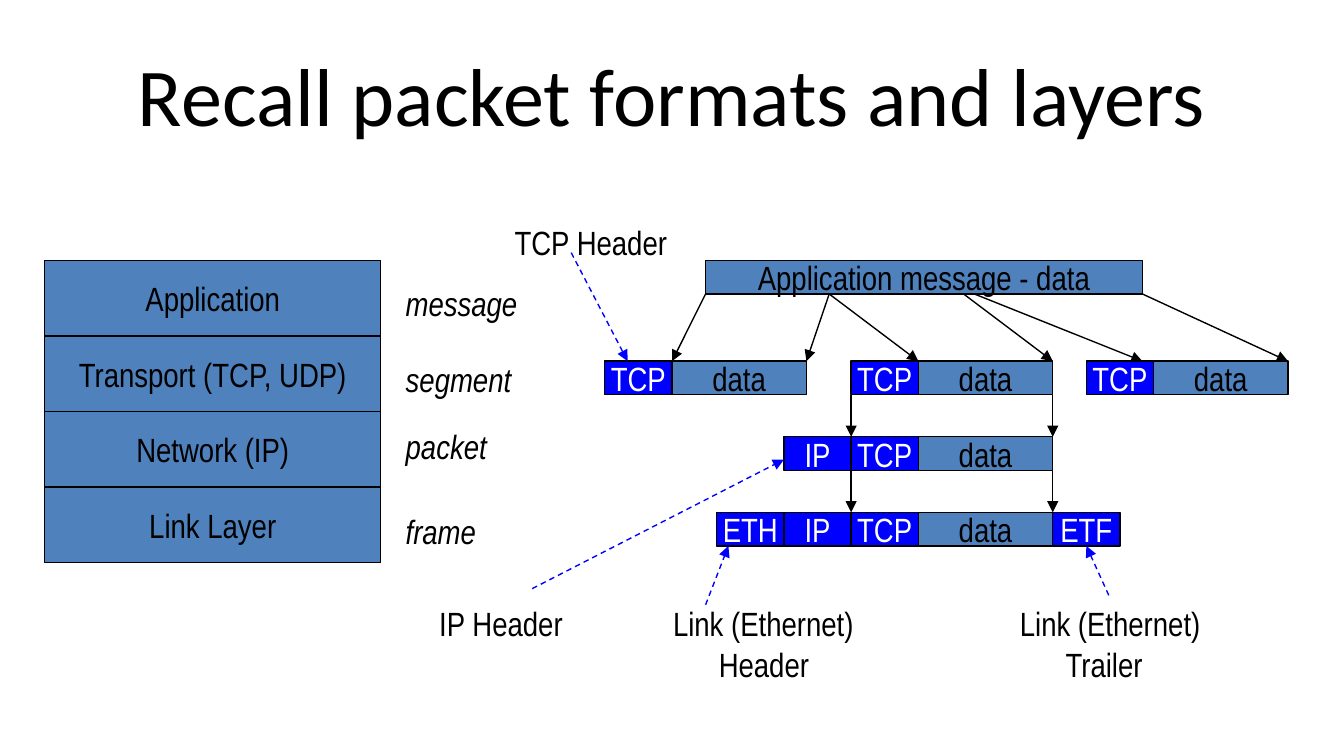
from lxml import etree
from pptx import Presentation
from pptx.dml.color import RGBColor
from pptx.enum.dml import MSO_LINE_DASH_STYLE as Dash
from pptx.enum.shapes import MSO_CONNECTOR as Connector, MSO_SHAPE as Shape
from pptx.enum.text import MSO_ANCHOR as Anchor, MSO_AUTO_SIZE as AutoSize, PP_ALIGN as Align
from pptx.oxml.ns import qn
from pptx.util import Inches, Pt

BLACK, WHITE, STEEL, BLUE = "000000", "FFFFFF", "4F81BD", "0000FF"


def color(target, value):
    target.rgb = RGBColor.from_string(value)


def write(frame, text, size=18, font="Arial Narrow", ink=BLACK, italic=False,
          align=Align.CENTER, anchor=Anchor.MIDDLE, wrap=False, fit=AutoSize.NONE, indent=0):
    frame.text = text
    frame.word_wrap = wrap
    frame.auto_size = fit
    frame.vertical_anchor = anchor
    for line, paragraph in enumerate(frame.paragraphs):
        paragraph.alignment = align
        if line and indent:
            paragraph._p.get_or_add_pPr().set("marL", str(Inches(indent)))
        for run in paragraph.runs:
            run.font.size, run.font.name, run.font.italic = Pt(size), font, italic
            color(run.font.color, ink)


deck = Presentation()
deck.slide_width = Inches(10)
deck.slide_height = deck.slide_width * 9 // 16
slide = deck.slides.add_slide(deck.slide_layouts[5])
shapes = slide.shapes

title = shapes.title
title.left, title.top, title.width, title.height = map(Inches, (0.5, 0.23, 9, 0.94))
write(title.text_frame, "Recall packet formats and layers", size=44, font="Calibri", wrap=True)

row_height = 9 / 16
bar = 1 / 4
top = 31 / 16
message_bottom = top + bar
segment_top = message_bottom + 2 * bar
packet_top = segment_top + row_height
frame_top = packet_top + row_height
frame_bottom = frame_top + bar
header, payload = 0.5, 1
first, second, third = 4.5, 19 / 3, 97 / 12
data_end = second + header + payload

boxes = [("Application message - data", 5.25, top, 3.25, bar, STEEL)]
layers = ["Application", "Transport (TCP, UDP)", "Network (IP)", "Link Layer"]
for row, layer in enumerate(layers):
    boxes.append((layer, 1 / 3, top + row * row_height, 2.5, row_height, STEEL))

units = [
    (first, segment_top, ["TCP", "data"]),
    (second, segment_top, ["TCP", "data"]),
    (third, segment_top, ["TCP", "data"]),
    (second - header, packet_top, ["IP", "TCP", "data"]),
    (second - 2 * header, frame_top, ["ETH", "IP", "TCP", "data", "ETF"]),
]
for left, y, fields in units:
    for field in fields:
        width, fill = (payload, STEEL) if field == "data" else (header, BLUE)
        boxes.append((field, left, y, width, bar, fill))
        left += width

for text, left, y, width, height, fill in boxes:
    box = shapes.add_shape(Shape.RECTANGLE, *map(Inches, (left, y, width, height)))
    box.shadow.inherit = False
    box.fill.solid()
    color(box.fill.fore_color, fill)
    color(box.line.color, BLACK)
    box.line.width = Pt(0.75)
    write(box.text_frame, text, ink=WHITE if fill == BLUE else BLACK)

splits = [(5.25, first + header), (6.17, first + header + payload), (6.17, second + header),
          (7.17, data_end), (7.25, 8.5), (8.5, third + header + payload)]
arrows = [(start, message_bottom, end, segment_top, BLACK) for start, end in splits]
for edge in (second, data_end):
    arrows.append((edge, segment_top + bar, edge, packet_top, BLACK))
    arrows.append((edge, 3.44, edge, frame_top, BLACK))
arrows += [
    (4.25, 1.88, 4.67, segment_top, BLUE),
    (3.96, 4.38, second - header, 3.42, BLUE),
    (5.25, 4.5, 5.42, frame_bottom, BLUE),
    (8.25, 4.43, third, frame_bottom, BLUE),
]
for *ends, ink in arrows:
    arrow = shapes.add_connector(Connector.STRAIGHT, *map(Inches, ends))
    color(arrow.line.color, ink)
    arrow.line.width = Pt(0.75)
    if ink == BLUE:
        arrow.line.dash_style = Dash.DASH
    properties = arrow.line._get_or_add_ln()
    etree.SubElement(properties, qn("a:tailEnd"), type="triangle")
    etree.SubElement(arrow._element.spPr, qn("a:effectLst"))

labels = [
    ("message", 2.92, 2.06, 1.04, True),
    ("segment", 2.92, 2.62, 0.99, True),
    ("packet", 2.92, 3.12, 0.81, True),
    ("frame", 2.92, 3.75, 0.73, True),
    ("TCP Header", 3.73, 1.6, 1.35, False),
    ("IP Header", 3.17, 4.44, 1.13, False),
    ("Link (Ethernet)\nHeader", 4.91, 4.44, 1.56, False),
    ("Link (Ethernet)\nTrailer", 7.49, 4.44, 1.56, False),
]
for text, left, y, width, italic in labels:
    height = 0.71 if "\n" in text else 0.4
    label = shapes.add_textbox(*map(Inches, (left, y, width, height)))
    write(label.text_frame, text, italic=italic, anchor=Anchor.TOP, align=Align.LEFT,
          fit=AutoSize.SHAPE_TO_FIT_TEXT, indent=0.34)

deck.save("out.pptx")
